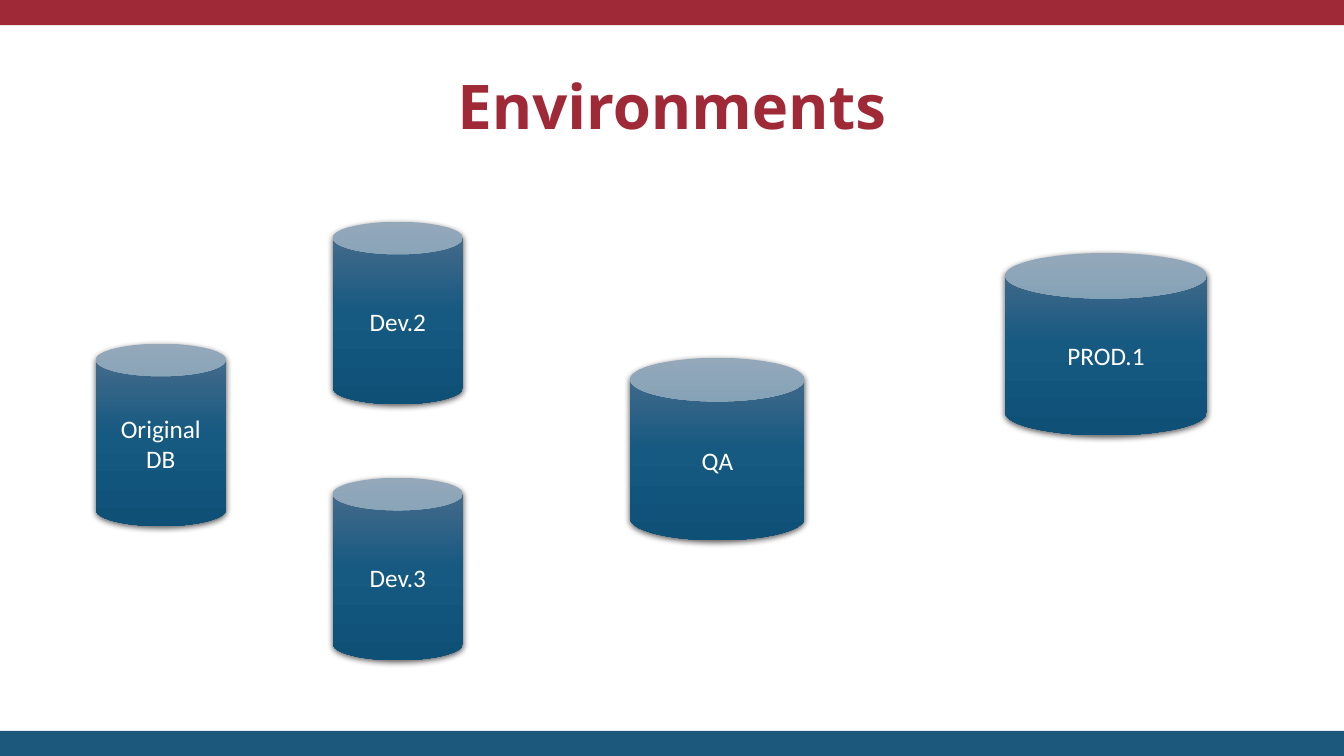
from lxml.etree import SubElement
from pptx import Presentation
from pptx.dml.color import RGBColor
from pptx.enum.shapes import MSO_SHAPE as Kind
from pptx.enum.text import MSO_ANCHOR as Anchor, PP_ALIGN as Align
from pptx.oxml.ns import qn
from pptx.util import Inches, Pt

WIDE, HIGH = 13.33, 7.5
RED, BLUE, WHITE = "9F2936", "1B587C", "FFFFFF"
TITLE = ("Environments", (2.76, 0.62, 7.81, 0.84))
BAR = 0.25
BARS = [(0, RED), (HIGH - BAR, BLUE)]
TALL = 1.81
CANS = [
    ("PROD.1", 9.97, 2.51, 2),
    ("Original DB", 0.95, 3.41, 1.29),
    ("Dev.2", 3.3, 2.2, 1.29),
    ("Dev.3", 3.3, 4.74, 1.29),
    ("QA", 6.25, 3.55, 1.73),
]
STOPS = [(0, "4E6E8C"), (50, "165981"), (100, "0F5077")]
SHADE = {"blurRad": Pt(4.5), "dist": Pt(1.5), "dir": 90 * 60000,
         "algn": "ctr", "rotWithShape": 0}
HEAD = {"name": "Open Sans", "size": Pt(44), "bold": True}
LABEL = {"name": "Calibri", "size": Pt(18)}


def color(code):
    return RGBColor.from_string(code)


def node(root, tag, **vals):
    return SubElement(root, qn(tag), {k: str(v) for k, v in vals.items()})


def write(shape, text, form, code):
    frame = shape.text_frame
    frame.word_wrap = True
    line = frame.paragraphs[0]
    line.alignment = Align.CENTER
    run = line.add_run()
    run.text = text
    for key, val in form.items():
        setattr(run.font, key, val)
    run.font.color.rgb = color(code)


def draw(slide, kind, box):
    shape = slide.shapes.add_shape(kind, *map(Inches, box))
    shape.shadow.inherit = False
    shape.line.fill.background()
    return shape


def add_bar(slide, top, code):
    bar = draw(slide, Kind.RECTANGLE, (0, top, WIDE, BAR))
    bar.fill.solid()
    bar.fill.fore_color.rgb = color(code)


def add_can(slide, text, left, top, wide):
    can = draw(slide, Kind.CAN, (left, top, wide, TALL))
    can.fill.gradient()
    can.fill.gradient_angle = 270
    props = can.element.spPr
    stops = props.find(".//" + qn("a:gsLst"))
    stops.clear()
    for place, code in STOPS:
        node(node(stops, "a:gs", pos=place * 1000), "a:srgbClr", val=code)
    shade = node(props.find(qn("a:effectLst")), "a:outerShdw", **SHADE)
    node(node(shade, "a:srgbClr", val="000000"), "a:alpha", val=63000)
    can.text_frame.vertical_anchor = Anchor.MIDDLE
    write(can, text, LABEL, WHITE)


def main():
    """Build the slide of database environments."""
    deck = Presentation()
    deck.slide_width, deck.slide_height = Inches(WIDE), Inches(HIGH)
    slide = deck.slides.add_slide(deck.slide_layouts[6])
    text, box = TITLE
    write(slide.shapes.add_textbox(*map(Inches, box)), text, HEAD, RED)
    for bar in BARS:
        add_bar(slide, *bar)
    for can in CANS:
        add_can(slide, *can)
    deck.save("out.pptx")


if __name__ == "__main__":
    main()
